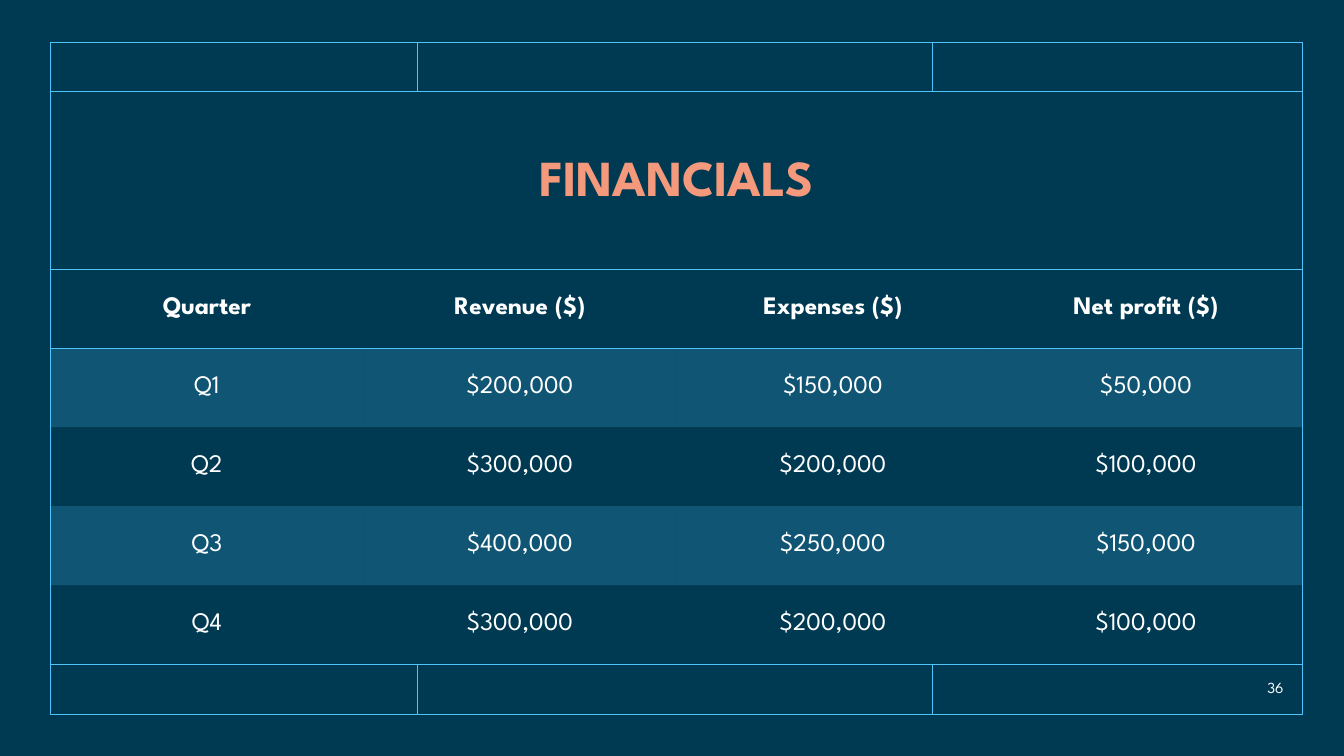
from lxml import etree
from pptx import Presentation
from pptx.dml.color import RGBColor
from pptx.enum.shapes import MSO_CONNECTOR, MSO_SHAPE
from pptx.enum.text import MSO_ANCHOR, PP_ALIGN
from pptx.oxml import parse_xml
from pptx.oxml.ns import nsdecls, qn
from pptx.util import Inches, Pt

TITLE = "FINANCIALS"
PAGE_NUMBER = "36"
FINANCIALS = [
    ("Quarter", "Revenue ($)", "Expenses ($)", "Net profit ($)"),
    ("Q1", "$200,000", "$150,000", "$50,000"),
    ("Q2", "$300,000", "$200,000", "$100,000"),
    ("Q3", "$400,000", "$250,000", "$150,000"),
    ("Q4", "$300,000", "$200,000", "$100,000"),
]

FONT = "League Spartan"
NAVY = RGBColor(0x00, 0x3A, 0x52)
SKY = RGBColor(0x51, 0xC3, 0xF9)
CORAL = RGBColor(0xF4, 0x99, 0x7C)
WHITE = RGBColor(0xFF, 0xFF, 0xFF)
NO_STYLE_NO_GRID = "{2D5ABB26-0587-4C30-8999-92F81FD0307C}"

# Frame geometry in inches
LEFT, TOP, WIDTH, HEIGHT = 0.5, 0.42, 12.42, 6.67
RIGHT, BOTTOM = LEFT + WIDTH, TOP + HEIGHT
HEADER_Y, TABLE_Y, FOOTER_Y = 0.91, 2.67, 6.59
DIVIDERS_X = (4.14, 9.25)


def add_text(frame, text, size, color, align, bold=False):
    frame.vertical_anchor = MSO_ANCHOR.MIDDLE
    paragraph = frame.paragraphs[0]
    paragraph.alignment = align
    run = paragraph.add_run()
    run.text = text
    run.font.name, run.font.size, run.font.bold = FONT, Pt(size), bold
    run.font.color.rgb = color
    return run


def add_rule(shapes, x1, y1, x2, y2):
    rule = shapes.add_connector(
        MSO_CONNECTOR.STRAIGHT, Inches(x1), Inches(y1), Inches(x2), Inches(y2))
    rule.line.color.rgb = SKY
    rule.line.width = Pt(1)
    etree.SubElement(rule._element.spPr, qn("a:effectLst"))


def add_border(cell, side):
    cell._tc.get_or_add_tcPr().append(parse_xml(
        f'<a:{side} {nsdecls("a")} w="{Pt(1)}"><a:solidFill>'
        f'<a:srgbClr val="{SKY}"/></a:solidFill></a:{side}>'))


def fill_band(cell):
    cell.fill.solid()
    cell.fill.fore_color.rgb = SKY
    color = cell._tc.tcPr.find(".//" + qn("a:solidFill") + "[last()]") \
        .find(qn("a:srgbClr"))
    etree.SubElement(color, qn("a:alpha"), val="20000")


def add_financials(shapes):
    rows, columns = len(FINANCIALS), len(FINANCIALS[0])
    frame = shapes.add_table(
        rows, columns, Inches(LEFT), Inches(TABLE_Y),
        Inches(WIDTH), Inches(FOOTER_Y - TABLE_Y))
    table = frame.table
    table.first_row = table.horz_banding = False
    frame._element.find(".//" + qn("a:tableStyleId")).text = NO_STYLE_NO_GRID
    for r, values in enumerate(FINANCIALS):
        for c, value in enumerate(values):
            cell = table.cell(r, c)
            cell.vertical_anchor = MSO_ANCHOR.MIDDLE
            add_text(cell.text_frame, value, 18, WHITE, PP_ALIGN.CENTER, r == 0)
            if r == 0:
                add_border(cell, "lnT")
            if r in (0, rows - 1):
                add_border(cell, "lnB")
            if r % 2:
                fill_band(cell)
            else:
                cell.fill.background()


def main():
    prs = Presentation()
    prs.slide_width, prs.slide_height = Inches(13.33), Inches(7.5)
    slide = prs.slides.add_slide(prs.slide_layouts[5])
    slide.background.fill.solid()
    slide.background.fill.fore_color.rgb = NAVY
    shapes = slide.shapes

    # Frame with header and footer strips
    border = shapes.add_shape(MSO_SHAPE.RECTANGLE, Inches(LEFT), Inches(TOP),
                              Inches(WIDTH), Inches(HEIGHT))
    border.shadow.inherit = False
    border.fill.background()
    border.line.color.rgb = SKY
    border.line.width = Pt(1)
    for outer, inner in ((TOP, HEADER_Y), (BOTTOM, FOOTER_Y)):
        add_rule(shapes, LEFT, inner, RIGHT, inner)
        for x in DIVIDERS_X:
            add_rule(shapes, x, inner, x, outer)

    # Title
    title = shapes.title
    title.left, title.top = Inches(LEFT), Inches(HEADER_Y)
    title.width, title.height = Inches(WIDTH), Inches(TABLE_Y - HEADER_Y)
    heading = add_text(title.text_frame, TITLE, 36, CORAL, PP_ALIGN.CENTER, True)
    heading.font._element.set("spc", "-20")
    title.text_frame.paragraphs[0].line_spacing = 0.9

    add_financials(shapes)

    # Page number
    number = shapes.add_textbox(Inches(11.91), Inches(6.67), Inches(0.92), Inches(0.3))
    number.text_frame.word_wrap = True
    add_text(number.text_frame, PAGE_NUMBER, 11, WHITE, PP_ALIGN.RIGHT)

    prs.save("out.pptx")


if __name__ == "__main__":
    main()
